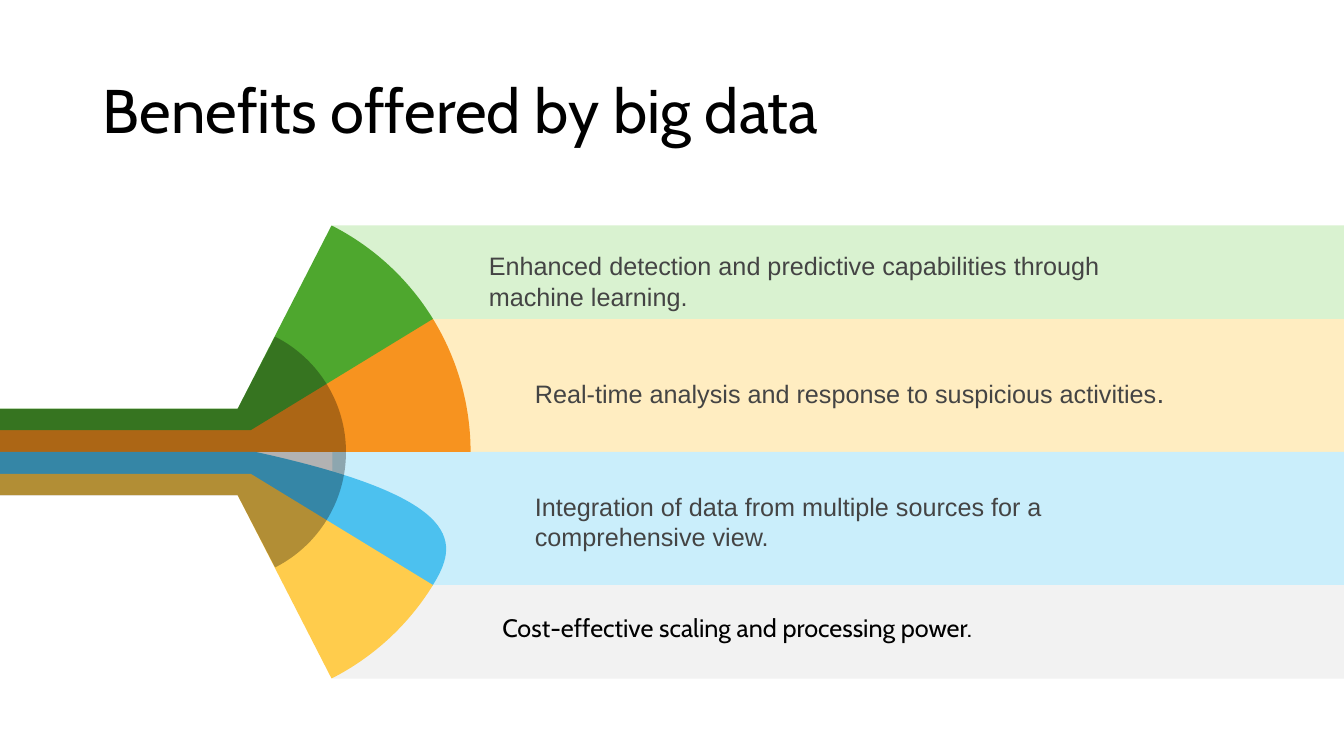
from math import cos, radians, sin, tan

from lxml import etree
from pptx import Presentation
from pptx import util as u
from pptx.dml.color import RGBColor
from pptx.enum import shapes, text
from pptx.oxml.ns import qn

BLACK = RGBColor(0, 0, 0)
GREY = RGBColor(0x44, 0x44, 0x44)
GREEN = RGBColor(0x4E, 0xA7, 0x2E)
ORANGE = RGBColor(0xF7, 0x93, 0x1F)
BLUE = RGBColor(0x4C, 0xC1, 0xEF)
YELLOW = RGBColor(0xFF, 0xCC, 0x4C)
MINT = RGBColor(0xD9, 0xF2, 0xD0)
CREAM = RGBColor(0xFF, 0xED, 0xC1)
SKY = RGBColor(0xCA, 0xEE, 0xFB)
PALE = RGBColor(0xF2, 0xF2, 0xF2)

# Fan geometry in cm and degrees
WIDE, HIGH = 33.87, 19.05
HUB, AXIS = 5.46, 11.39
OUTER, INNER = 6.4, 3.26
MID, TOP = 31.6, 63.1
NEAR, FAR = 0.55, 1.09
NECK = 5.99

# Band: top, height, fill
BANDS = [
    (5.68, 2.36, MINT),
    (14.74, 2.36, PALE),
    (8.04, 3.35, CREAM),
    (11.39, 3.35, SKY),
]

# Label: box, runs of (text, size), font, colour
LABELS = [
    ((12.32, 6.19, 16.64, 2.31),
     [("Enhanced detection and predictive capabilities through machine learning.", 18)],
     "Arial", GREY),
    ((13.48, 9.35, 16.79, 1.63),
     [("Real-time analysis and response to suspicious activities", 18), (".", 20)],
     "Arial", GREY),
    ((13.48, 12.25, 16.92, 2.57),
     [("Integration of data from multiple sources for a comprehensive view.", 18)],
     "Arial", GREY),
    ((12.66, 15.31, 16.64, 1.55),
     [("Cost-effective scaling and processing power.", 18)],
     "Cabin", BLACK),
]


def write(para, words, size=18, font="Arial", color=GREY):
    run = para.add_run()
    run.text = words
    run.font.size = u.Pt(size)
    run.font.name = font
    run.font.color.rgb = color


def paint(shape, color):
    shape.shadow.inherit = False
    shape.fill.solid()
    shape.fill.fore_color.rgb = color
    shape.line.fill.background()


def title(slide, words):
    head = slide.shapes.title
    head.left, head.top, head.width, head.height = map(u.Cm, (2.34, 1.02, 29.21, 3.68))
    frame = head.text_frame
    frame.auto_size = text.MSO_AUTO_SIZE.NONE
    frame.vertical_anchor = text.MSO_ANCHOR.MIDDLE
    para = frame.paragraphs[0]
    para.alignment = text.PP_ALIGN.LEFT
    para.line_spacing = 0.9
    write(para, words, size=44, font="Cabin", color=BLACK)


def band(slide, top, high, color):
    left = 8.38
    box = map(u.Cm, (left, top, WIDE - left, high))
    paint(slide.shapes.add_shape(shapes.MSO_SHAPE.RECTANGLE, *box), color)


def label(slide, box, runs, font, color):
    frame = slide.shapes.add_textbox(*map(u.Cm, box)).text_frame
    frame.word_wrap = True
    frame.auto_size = text.MSO_AUTO_SIZE.SHAPE_TO_FIT_TEXT
    frame.margin_left = frame.margin_right = 0
    for words, size in runs:
        write(frame.paragraphs[0], words, size=size, font=font, color=color)


def spot(radius, angle):
    """Point on the fan as (x, height above the axis)."""
    turn = radians(angle)
    return HUB + radius * cos(turn), radius * sin(turn)


def arc(radius, start, end):
    """Two control points and the end point of a circular arc."""
    pull = 4 / 3 * tan(radians(end - start) / 4) * radius
    a, b = radians(start), radians(end)
    (x1, y1), (x2, y2) = spot(radius, start), spot(radius, end)
    return [(x1 - pull * sin(a), y1 + pull * cos(a)),
            (x2 + pull * sin(b), y2 - pull * cos(b)), (x2, y2)]


def outline(group, start, parts, color, side=1):
    """A part is a point for a line, or a list of three for a curve."""
    points = [start]
    for part in parts:
        points += part if isinstance(part, list) else [part]
    spots = [(u.Cm(x), u.Cm(AXIS - side * y)) for x, y in points]
    form = group.shapes.build_freeform(*spots[0], scale=1.0)
    form.add_line_segments(spots[1:], close=True)
    shape = form.convert_to_shape()
    paint(shape, color)

    # Join three line points into each curve
    lines = iter(list(shape._element.iter(qn("a:lnTo"))))
    for part in parts:
        first = next(lines)
        if isinstance(part, list):
            first.tag = qn("a:cubicBezTo")
            for line in (next(lines), next(lines)):
                first.append(line[0])
                line.getparent().remove(line)
    return shape


def fade(shape, percent):
    tint = shape.fill._xPr.find(qn("a:solidFill"))[0]
    etree.SubElement(tint, qn("a:alpha")).set("val", str(percent * 1000))


def fan(slide):
    group = slide.shapes.add_group_shape()
    edge = spot(OUTER, MID)

    # Inner blades, reaching under the outer ones
    outline(group, edge, [
        arc(OUTER, MID, 0), (6.45, 0), (5.44, 0), (0, 0), (0, NEAR),
        [(2.11, NEAR), (4.17, 0.71), (6.27, 0.71)],
        [(7.8, 1.65), (8.92, 4.32), edge]], ORANGE)
    outline(group, (0, 0), [
        (5.44, 0), (6.45, 0), arc(OUTER, 0, -MID),
        [(10.01, -4.19), (7.87, -1.65), (6.35, -0.79)], (0, -NEAR)], BLUE)

    # Outer blades
    for color, side in [(GREEN, 1), (YELLOW, -1)]:
        outline(group, spot(OUTER, TOP), [
            arc(OUTER, TOP, MID), (6.32, NEAR), (6.07, NEAR), (5.72, NEAR),
            (0, NEAR), (0, FAR), (NECK, FAR)], color, side)

    # Dark handle over the inner part
    shade = outline(group, spot(INNER, TOP), [
        arc(INNER, TOP, 0), arc(INNER, 0, -TOP),
        (NECK, -FAR), (0, -FAR), (0, FAR), (NECK, FAR)], BLACK)
    fade(shade, 30)


def main():
    deck = Presentation()
    deck.slide_width, deck.slide_height = u.Cm(WIDE), u.Cm(HIGH)
    slide = deck.slides.add_slide(deck.slide_layouts[5])
    title(slide, "Benefits offered by big data")
    for item in BANDS:
        band(slide, *item)
    for item in LABELS:
        label(slide, *item)
    fan(slide)
    deck.save("out.pptx")


if __name__ == "__main__":
    main()
